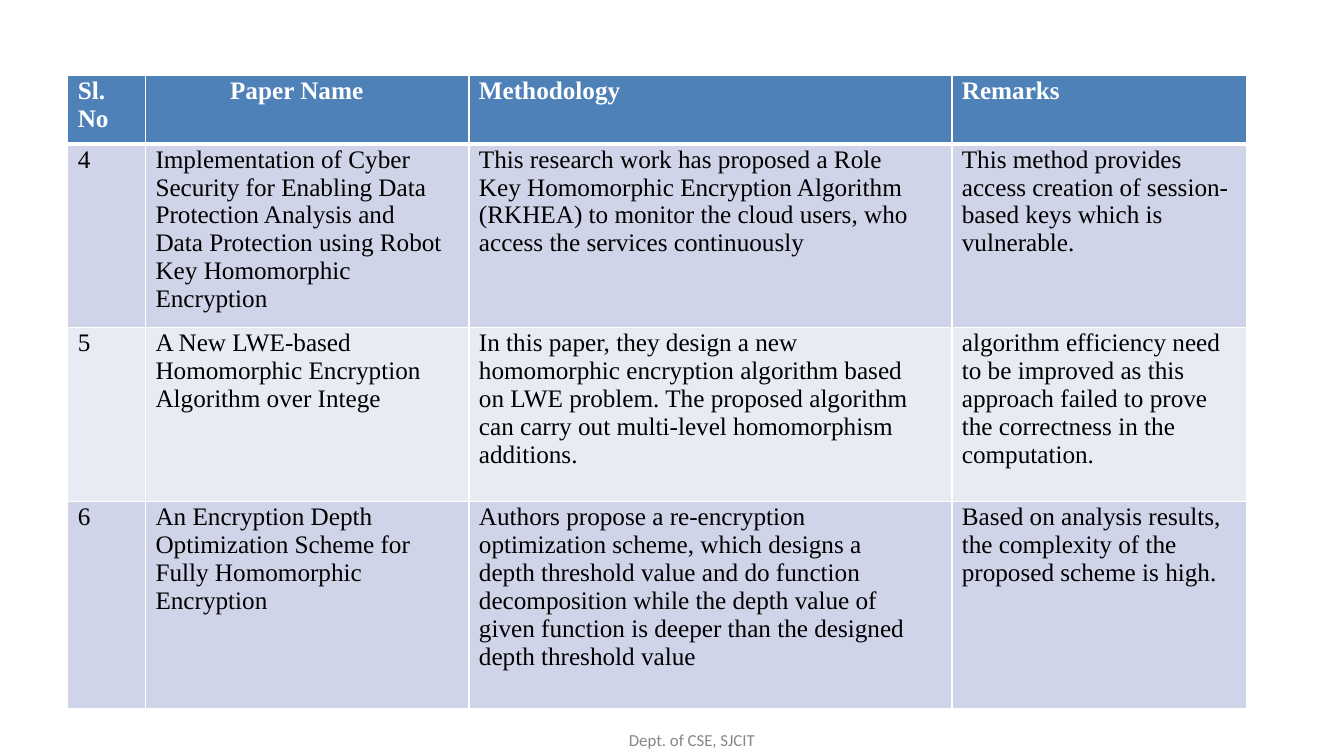
from dataclasses import dataclass

from lxml.etree import _Element
from pptx import Presentation
from pptx.dml.color import RGBColor
from pptx.oxml import parse_xml
from pptx.oxml.ns import nsdecls
from pptx.slide import Slide
from pptx.table import Table, _Cell
from pptx.util import Cm, Pt

WHITE = RGBColor(0xFF, 0xFF, 0xFF)
BLACK = RGBColor(0x00, 0x00, 0x00)
GREY = RGBColor(0x86, 0x86, 0x86)
BLUE = RGBColor(0x4F, 0x81, 0xB9)
BANDS = (RGBColor(0xD0, 0xD4, 0xE8), RGBColor(0xE9, 0xEB, 0xF4))

THIN, THICK = Pt(1), Pt(3)


@dataclass(frozen=True)
class Column:
    head: str
    width: float
    right: float
    indent: float = 0.25


@dataclass(frozen=True)
class Paper:
    number: str
    name: str
    method: str
    remark: str
    height: float
    before: float

    def texts(self) -> tuple[str, ...]:
        return self.number, self.name, self.method, self.remark


HEAD_HEIGHT = 1.73
COLUMNS = (
    Column("Sl.\nNo", 1.96, 0),
    Column("Paper Name", 8.15, 0.56, indent=2.13),
    Column("Methodology", 12.17, 0.96),
    Column("Remarks", 7.42, 0.28),
)
PAPERS = (
    Paper(
        "4",
        "Implementation of Cyber Security for Enabling Data Protection Analysis "
        "and Data Protection using Robot Key Homomorphic Encryption",
        "This research work has proposed a Role Key Homomorphic Encryption Algorithm "
        "(RKHEA) to monitor the cloud users, who access the services continuously",
        "This method provides access creation of session-based keys which is vulnerable.",
        4.59, 1.2,
    ),
    Paper(
        "5",
        "A New LWE-based Homomorphic Encryption Algorithm over Intege",
        "In this paper, they design a new homomorphic encryption algorithm based on "
        "LWE problem. The proposed algorithm can carry out multi-level homomorphism "
        "additions.",
        "algorithm efficiency need to be improved as this approach failed to prove "
        "the correctness in the computation.",
        4.39, 1.4,
    ),
    Paper(
        "6",
        "An Encryption Depth Optimization Scheme for Fully Homomorphic Encryption",
        "Authors propose a re-encryption optimization scheme, which designs a depth "
        "threshold value and do function decomposition while the depth value of given "
        "function is deeper than the designed depth threshold value",
        "Based on analysis results, the complexity of the proposed scheme is high.",
        5.21, 1.4,
    ),
)


def border(side: str, width: int) -> _Element:
    return parse_xml(
        f'<a:{side} {nsdecls("a")} w="{width}"><a:solidFill>'
        f'<a:srgbClr val="{WHITE}"/></a:solidFill></a:{side}>'
    )


def frame(cell: _Cell, top: int, bottom: int) -> None:
    """Draw the white borders of a cell."""
    props = cell._tc.get_or_add_tcPr()
    widths = {"lnL": THIN, "lnR": THIN, "lnT": top, "lnB": bottom}
    for place, (side, width) in enumerate(widths.items()):
        props.insert(place, border(side, width))


def write(cell: _Cell, text: str, color: RGBColor, bold: bool, before: float) -> None:
    cell.text = text
    for para in cell.text_frame.paragraphs:
        font = para.font
        font.name, font.size, font.bold = "Times New Roman", Pt(18), bold
        font.color.rgb = color
    cell.text_frame.paragraphs[0].space_before = Pt(before)


def style(cell: _Cell, fill: RGBColor, left: float, right: float) -> None:
    cell.fill.solid()
    cell.fill.fore_color.rgb = fill
    cell.margin_left, cell.margin_right = Cm(left), Cm(right)
    cell.margin_top, cell.margin_bottom = Cm(0.05), 0


def fill_head(table: Table) -> None:
    table.rows[0].height = Cm(HEAD_HEIGHT)
    for index, col in enumerate(COLUMNS):
        table.columns[index].width = Cm(col.width)
        cell = table.cell(0, index)
        write(cell, col.head, WHITE, True, 1.2)
        style(cell, BLUE, col.indent, 0)
        frame(cell, THIN, THICK)


def fill_row(table: Table, row: int, paper: Paper) -> None:
    table.rows[row].height = Cm(paper.height)
    for index, (col, text) in enumerate(zip(COLUMNS, paper.texts())):
        cell = table.cell(row, index)
        write(cell, text, BLACK, False, paper.before)
        style(cell, BANDS[(row - 1) % 2], 0.25, col.right)
        frame(cell, THICK if row == 1 else THIN, THIN)


def add_papers(slide: Slide) -> None:
    width = sum(col.width for col in COLUMNS)
    height = HEAD_HEIGHT + sum(paper.height for paper in PAPERS)
    table = slide.shapes.add_table(
        len(PAPERS) + 1, len(COLUMNS), Cm(1.71), Cm(1.89), Cm(width), Cm(height)
    ).table
    fill_head(table)
    for row, paper in enumerate(PAPERS, 1):
        fill_row(table, row, paper)


def add_footer(slide: Slide) -> None:
    box = slide.shapes.add_textbox(Cm(15.82), Cm(18.39), Cm(3.8), Cm(0.58))
    text = box.text_frame
    text.margin_left = Cm(0.03)
    text.margin_top = text.margin_right = text.margin_bottom = 0
    text.word_wrap = True
    para = text.paragraphs[0]
    para.text = "Dept. of CSE, SJCIT"
    para.space_before = Pt(1)
    para.font.name, para.font.size = "Calibri", Pt(12)
    para.font.color.rgb = GREY


def main() -> None:
    deck = Presentation()
    deck.slide_width, deck.slide_height = Cm(33.87), Cm(19.05)
    slide = deck.slides.add_slide(deck.slide_layouts[6])
    add_footer(slide)
    add_papers(slide)
    deck.save("out.pptx")


if __name__ == "__main__":
    main()
